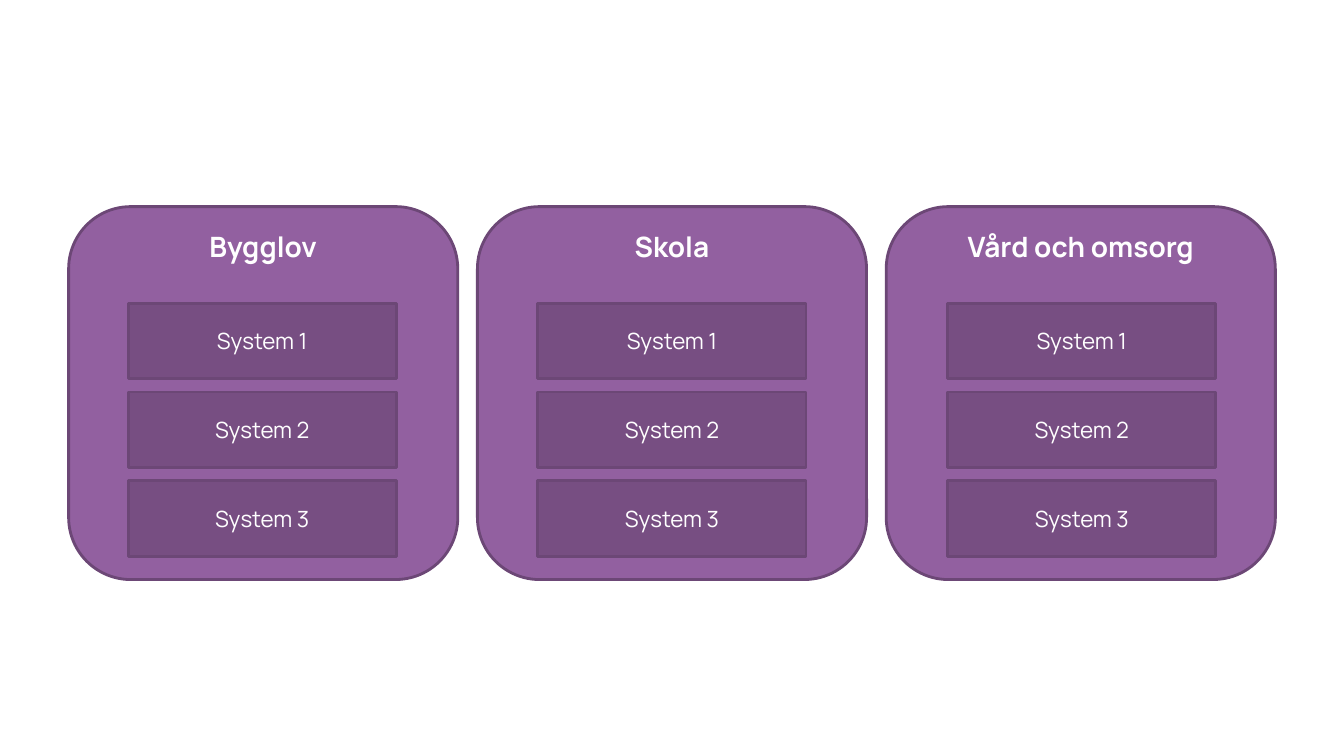
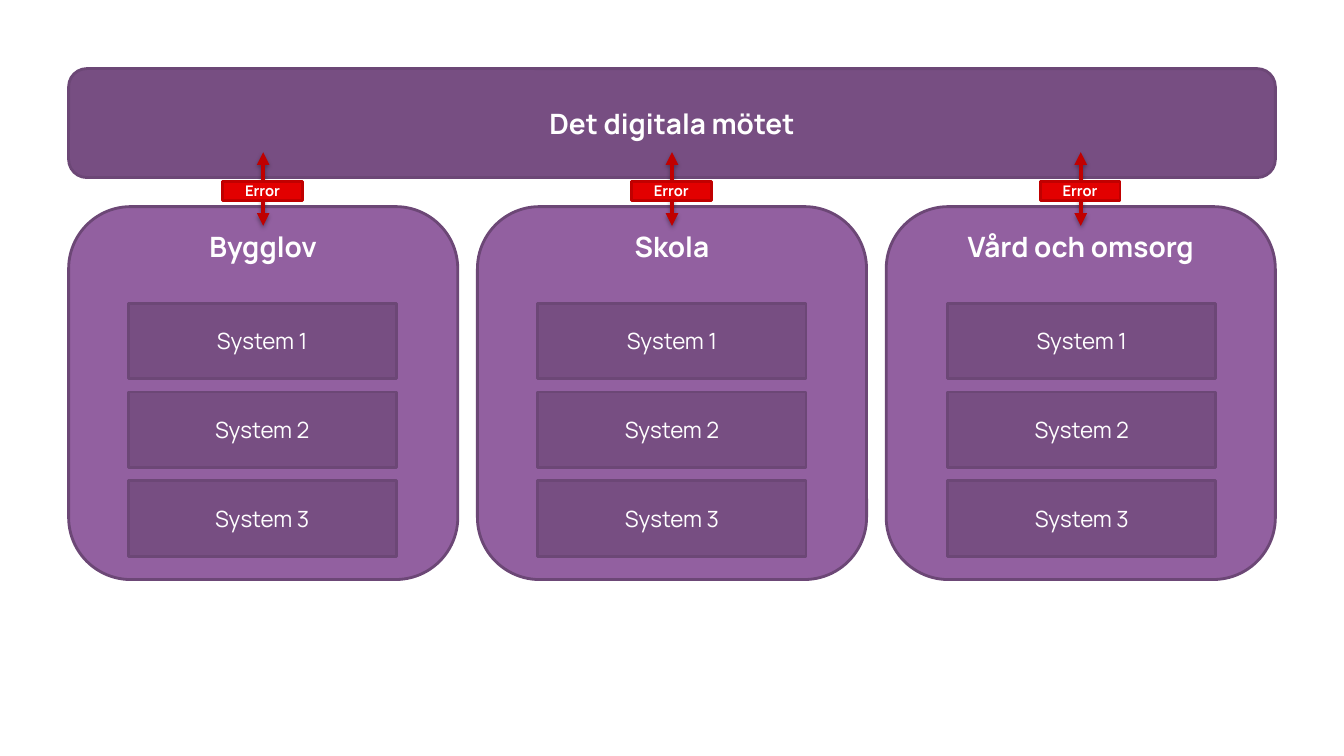
"""Build two slides showing department systems and their links to the digital meeting."""

import dataclasses

import lxml.etree
import pptx
import pptx.dml.color
import pptx.enum.shapes
import pptx.enum.text
import pptx.oxml.ns
import pptx.presentation
import pptx.slide
import pptx.util

Pt = pptx.util.Pt
RGBColor = pptx.dml.color.RGBColor
MSO_SHAPE = pptx.enum.shapes.MSO_SHAPE
MSO_ANCHOR = pptx.enum.text.MSO_ANCHOR
qn = pptx.oxml.ns.qn

WHITE = RGBColor(0xFF, 0xFF, 0xFF)
PURPLE = RGBColor(0x92, 0x60, 0xA0)
DARK_PURPLE = RGBColor(0x77, 0x4E, 0x82)
PURPLE_EDGE = RGBColor(0x6C, 0x47, 0x76)
RED = RGBColor(0xE2, 0x00, 0x00)
DARK_RED = RGBColor(0xC0, 0x00, 0x00)

FONT = "Manrope"
DEPARTMENTS = ("Bygglov", "Skola", "Vård och omsorg")
SYSTEMS = ("System 1", "System 2", "System 3")

PANEL_LEFT, PANEL_TOP = 49, 147.6
PANEL_WIDTH, PANEL_HEIGHT = 278, 266.4
PANEL_PITCH = 292
SYSTEM_LEFT, SYSTEM_TOP = 91.5, 216.6
SYSTEM_WIDTH, SYSTEM_HEIGHT = 191.6, 54
SYSTEM_PITCH_X, SYSTEM_PITCH_Y = 292.7, 63.4
ARROW_TOP, ARROW_BOTTOM = 108.7, 161.3
ERROR_TOP, ERROR_WIDTH, ERROR_HEIGHT = 129.6, 57, 13.7


@dataclasses.dataclass(frozen=True)
class BoxStyle:
    """Look of a labelled box."""

    shape: MSO_SHAPE
    fill: RGBColor
    edge: RGBColor
    size: float
    bold: bool
    anchor: MSO_ANCHOR = MSO_ANCHOR.MIDDLE


PANEL = BoxStyle(MSO_SHAPE.ROUNDED_RECTANGLE, PURPLE, PURPLE_EDGE, 20, True, MSO_ANCHOR.TOP)
SYSTEM = BoxStyle(MSO_SHAPE.RECTANGLE, DARK_PURPLE, PURPLE_EDGE, 16, False)
BAR = BoxStyle(MSO_SHAPE.ROUNDED_RECTANGLE, DARK_PURPLE, PURPLE_EDGE, 20, True)
ERROR = BoxStyle(MSO_SHAPE.RECTANGLE, RED, DARK_RED, 10.5, True)


def add_box(s: pptx.slide.Slide, style: BoxStyle, text: str,
            left: float, top: float, width: float, height: float) -> None:
    """Draw one labelled box."""
    sp = s.shapes.add_shape(style.shape, Pt(left), Pt(top), Pt(width), Pt(height))
    sp.shadow.inherit = False
    sp.fill.solid()
    sp.fill.fore_color.rgb = style.fill
    sp.line.color.rgb = style.edge
    sp.line.width = Pt(2)
    tf = sp.text_frame
    tf.word_wrap = True
    tf.vertical_anchor = style.anchor
    p = tf.paragraphs[0]
    p.alignment = pptx.enum.text.PP_ALIGN.CENTER
    r = p.add_run()
    r.text = text
    r.font.name = FONT
    r.font.size = Pt(style.size)
    r.font.bold = style.bold
    r.font.color.rgb = WHITE


def add_arrow(s: pptx.slide.Slide, x: float) -> None:
    """Draw a vertical two-headed arrow with a soft shadow."""
    cxn = s.shapes.add_connector(pptx.enum.shapes.MSO_CONNECTOR.STRAIGHT,
                                 Pt(x), Pt(ARROW_TOP), Pt(x), Pt(ARROW_BOTTOM))
    cxn.line.color.rgb = DARK_RED
    cxn.line.width = Pt(3)
    sp_pr = cxn.element.spPr
    ln = sp_pr.find(qn("a:ln"))
    for end in ("a:headEnd", "a:tailEnd"):
        lxml.etree.SubElement(ln, qn(end), type="triangle")
    effects = lxml.etree.SubElement(sp_pr, qn("a:effectLst"))
    shadow = lxml.etree.SubElement(effects, qn("a:outerShdw"), blurRad=str(Pt(3.1)),
                                   dist=str(Pt(1.8)), dir="5400000", rotWithShape="0")
    color = lxml.etree.SubElement(shadow, qn("a:srgbClr"), val="000000")
    lxml.etree.SubElement(color, qn("a:alpha"), val="35000")


def add_departments(s: pptx.slide.Slide) -> None:
    """Draw the department panels and their systems."""
    for col, department in enumerate(DEPARTMENTS):
        add_box(s, PANEL, department, PANEL_LEFT + col * PANEL_PITCH, PANEL_TOP,
                PANEL_WIDTH, PANEL_HEIGHT)
        for row, system in enumerate(SYSTEMS):
            add_box(s, SYSTEM, system, SYSTEM_LEFT + col * SYSTEM_PITCH_X,
                    SYSTEM_TOP + row * SYSTEM_PITCH_Y, SYSTEM_WIDTH, SYSTEM_HEIGHT)


def add_meeting(s: pptx.slide.Slide) -> None:
    """Draw the meeting bar and its failing link to each department."""
    bar_width = PANEL_PITCH * (len(DEPARTMENTS) - 1) + PANEL_WIDTH
    add_box(s, BAR, "Det digitala mötet", PANEL_LEFT, 49, bar_width, 77.8)
    for col in range(len(DEPARTMENTS)):
        center = PANEL_LEFT + col * PANEL_PITCH + PANEL_WIDTH / 2
        add_arrow(s, center)
        add_box(s, ERROR, "Error", center - 29, ERROR_TOP, ERROR_WIDTH, ERROR_HEIGHT)


def add_slide(prs: pptx.presentation.Presentation) -> pptx.slide.Slide:
    """Add a blank slide with the department panels."""
    s = prs.slides.add_slide(prs.slide_layouts[6])
    add_departments(s)
    return s


def main() -> None:
    """Build and save the presentation."""
    prs = pptx.Presentation()
    prs.slide_width, prs.slide_height = Pt(960), Pt(540)
    add_slide(prs)
    add_meeting(add_slide(prs))
    prs.save("out.pptx")


if __name__ == "__main__":
    main()
